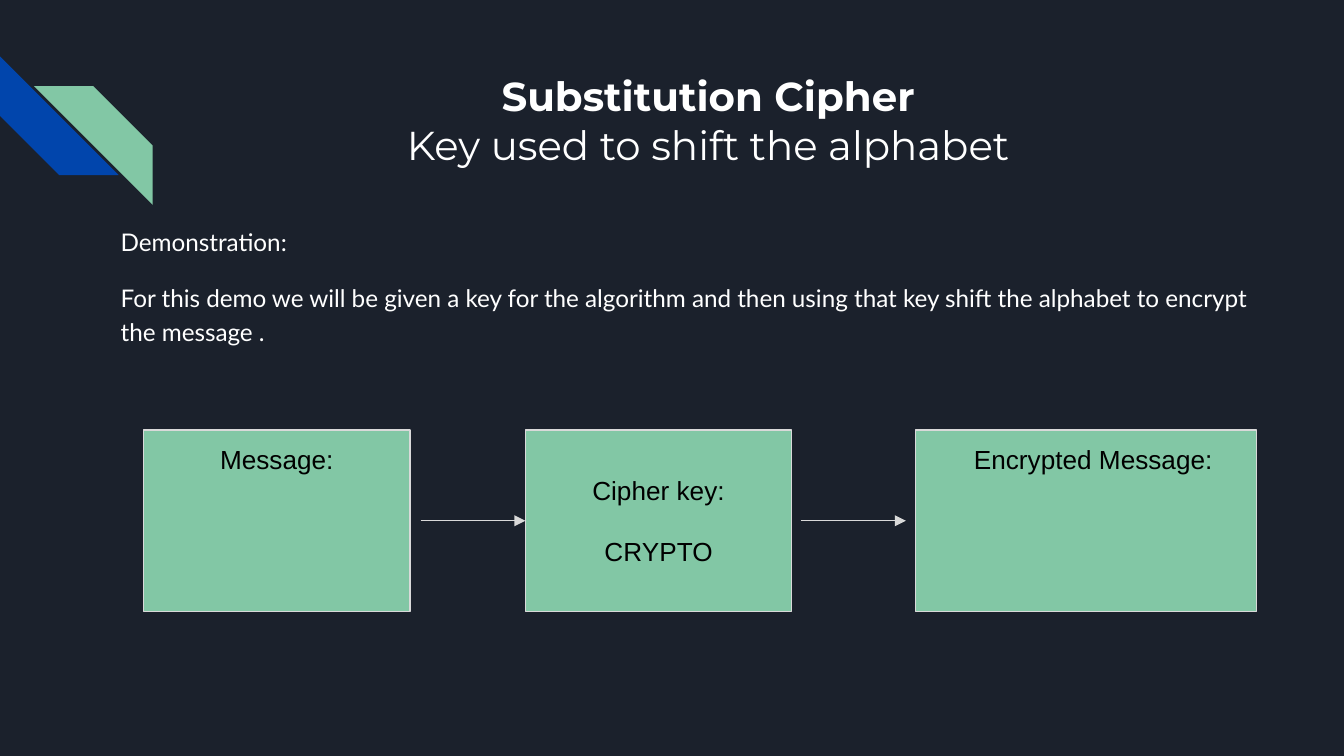
from lxml.etree import SubElement
from pptx import Presentation
from pptx.dml.color import RGBColor
from pptx.enum.shapes import MSO_CONNECTOR, MSO_SHAPE
from pptx.enum.text import MSO_ANCHOR, MSO_AUTO_SIZE, PP_ALIGN
from pptx.oxml.ns import qn
from pptx.util import Pt

COLORS = {
    "background": "1B212C",
    "blue": "0145AC",
    "green": "82C7A5",
    "line": "D9D9D9",
    "light": "FFFFFF",
    "dark": "000000",
}
LINE_WIDTH = 0.75
INSET = 7.2


def color(name):
    return RGBColor.from_string(COLORS[name])


def write(paragraph, text, font="Arial", size=14, ink="dark", bold=False,
          align=PP_ALIGN.LEFT, before=0, spacing=1.0, indent=0):
    run = paragraph.add_run()
    run.text = text
    run.font.name = font
    run.font.size = Pt(size)
    run.font.bold = bold
    run.font.color.rgb = color(ink)
    paragraph.alignment = align
    paragraph.space_before = Pt(before)
    paragraph.line_spacing = spacing
    if indent:
        paragraph._p.get_or_add_pPr().set("marL", str(Pt(indent)))


class SlideBuilder:
    def __init__(self, slide):
        self.slide = slide
        slide.background.fill.solid()
        slide.background.fill.fore_color.rgb = color("background")

    def fill_frame(self, frame, lines, anchor=MSO_ANCHOR.TOP, right=INSET, **style):
        frame.word_wrap = True
        frame.auto_size = MSO_AUTO_SIZE.NONE
        frame.vertical_anchor = anchor
        frame.margin_left = frame.margin_top = frame.margin_bottom = Pt(INSET)
        frame.margin_right = Pt(right)
        for index, (text, extra) in enumerate(lines):
            paragraph = frame.add_paragraph() if index else frame.paragraphs[0]
            write(paragraph, text, **{**style, **extra})

    def title(self, left, top, width, height, lines, **style):
        shape = self.slide.shapes.title
        shape.left, shape.top = Pt(left), Pt(top)
        shape.width, shape.height = Pt(width), Pt(height)
        self.fill_frame(shape.text_frame, lines, **style)

    def text(self, left, top, width, height, lines, **style):
        shape = self.slide.shapes.add_textbox(Pt(left), Pt(top), Pt(width), Pt(height))
        self.fill_frame(shape.text_frame, lines, **style)

    def shape(self, preset, left, top, width, height, fill):
        shape = self.slide.shapes.add_shape(
            preset, Pt(left), Pt(top), Pt(width), Pt(height))
        shape.shadow.inherit = False
        shape.fill.solid()
        shape.fill.fore_color.rgb = color(fill)
        shape.line.fill.background()
        return shape

    def stripe(self, left, top, size, fill, rotation):
        shape = self.shape(MSO_SHAPE.DIAGONAL_STRIPE, left, top, size, size, fill)
        shape.adjustments[0] = 0.5
        shape.rotation = rotation

    def box(self, left, top, width, height, lines, **style):
        shape = self.shape(MSO_SHAPE.RECTANGLE, left, top, width, height, "green")
        shape.line.color.rgb = color("line")
        shape.line.width = Pt(LINE_WIDTH)
        self.fill_frame(shape.text_frame, lines, align=PP_ALIGN.CENTER, **style)
        return shape

    def arrow(self, start, end, y, target=None):
        connector = self.slide.shapes.add_connector(
            MSO_CONNECTOR.STRAIGHT, Pt(start), Pt(y), Pt(end), Pt(y))
        connector.line.color.rgb = color("line")
        connector.line.width = Pt(LINE_WIDTH)
        SubElement(connector.line._get_or_add_ln(), qn("a:tailEnd"), type="triangle")
        SubElement(connector._element.spPr, qn("a:effectLst"))
        if target is not None:
            connector.end_connect(target, 1)


def main():
    presentation = Presentation()
    presentation.slide_width, presentation.slide_height = Pt(720), Pt(405)
    builder = SlideBuilder(presentation.slides.add_slide(presentation.slide_layouts[5]))

    builder.stripe(0, 30.2, 63.6, "blue", 270)
    builder.stripe(18.2, 46.2, 63.6, "green", 90)

    title_shift = 10.8
    builder.title(
        102.2, 31, 554.4, 72,
        [("Substitution Cipher", {"bold": True, "indent": title_shift}),
         ("Key used to shift the alphabet", {})],
        right=INSET + title_shift, font="Montserrat", size=21.6, ink="light",
        align=PP_ALIGN.CENTER)

    builder.text(
        57.6, 112.3, 620.6, 272.9,
        [("Demonstration:", {}),
         ("For this demo we will be given a key for the algorithm and then using "
          "that key shift the alphabet to encrypt the message .", {"before": 12})],
        font="Lato", size=13, ink="light", spacing=1.15)

    top, height = 230.4, 97.2
    builder.box(77, top, 142.6, height, [("Message:", {})])
    cipher_box = builder.box(
        281.5, top, 142.6, height,
        [("Cipher key:", {}), ("CRYPTO", {"before": 16})], anchor=MSO_ANCHOR.MIDDLE)
    builder.box(490.3, top, 182.9, height, [("Encrypted Message:", {"indent": 8})])

    middle = top + height / 2
    builder.arrow(225.4, 281.5, middle, target=cipher_box)
    builder.arrow(429.1, 485.3, middle)

    presentation.save("out.pptx")


if __name__ == "__main__":
    main()
